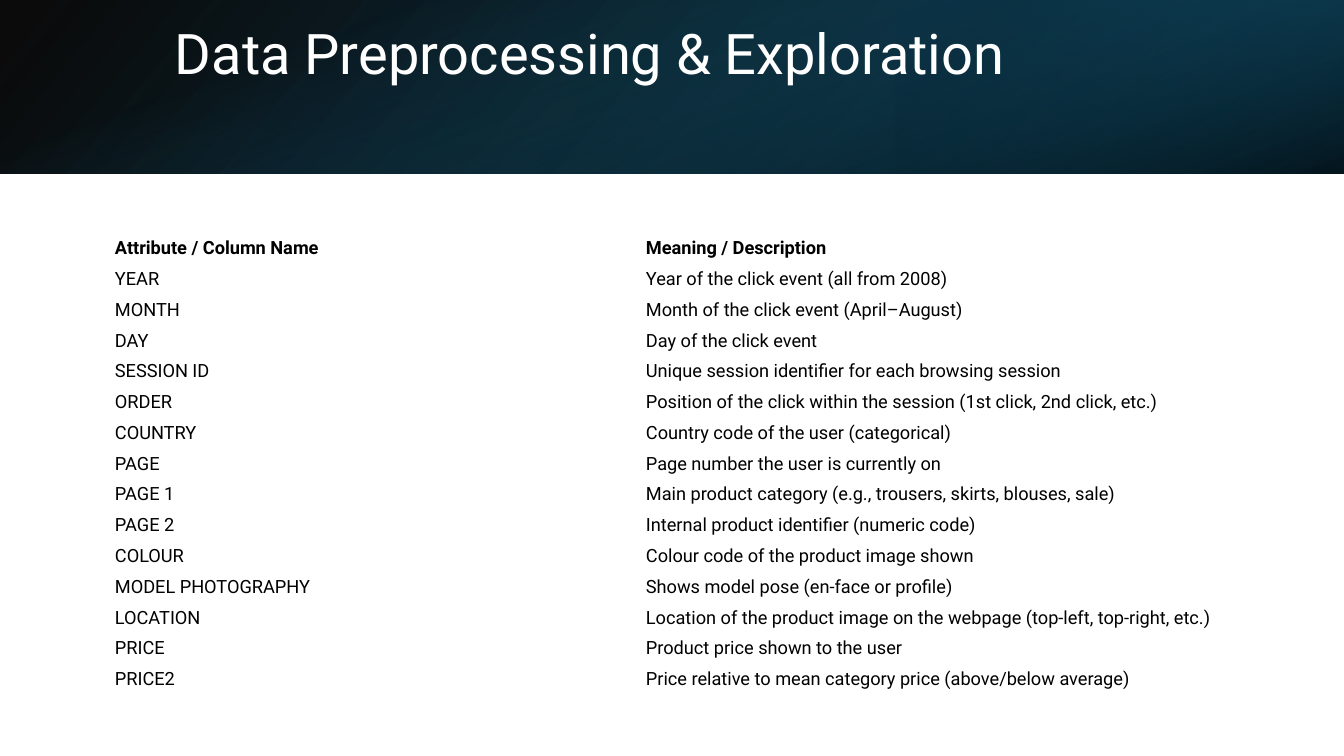
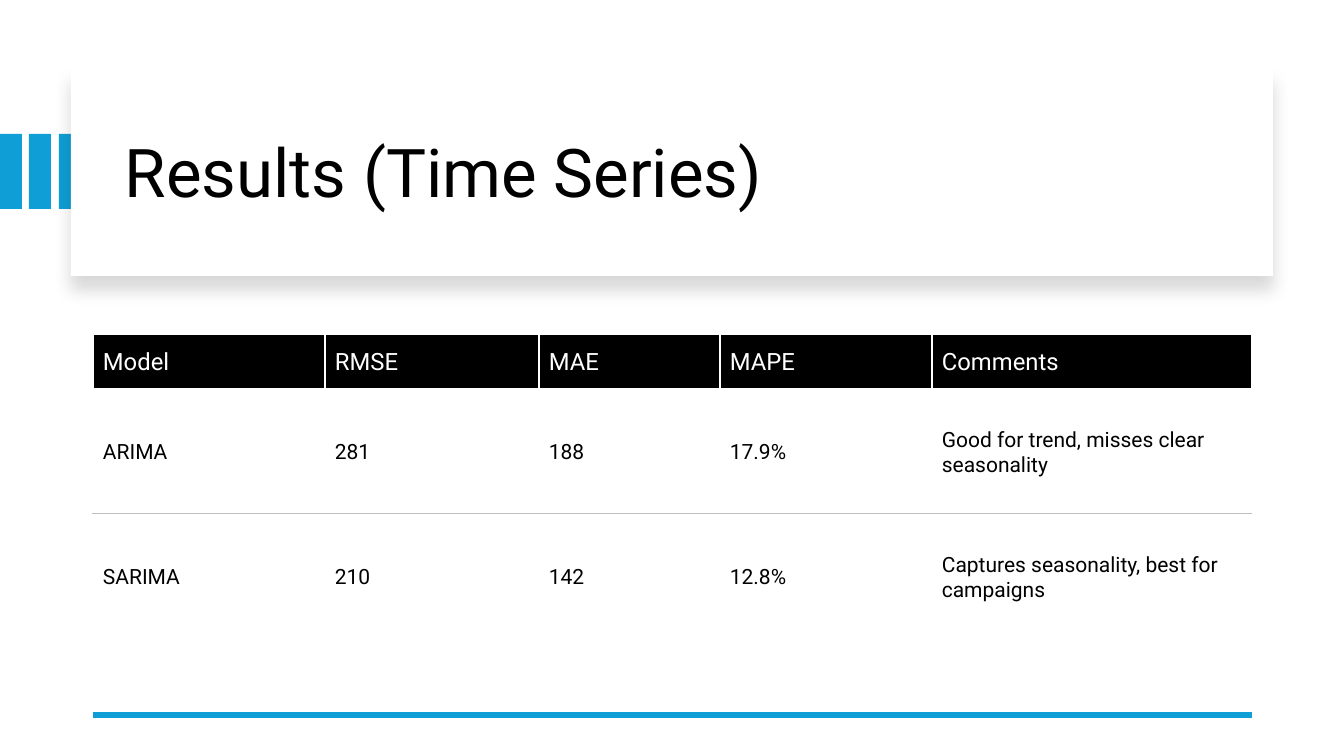
from dataclasses import dataclass

from lxml.etree import SubElement
from pptx import Presentation
from pptx.dml.color import RGBColor
from pptx.enum.shapes import MSO_CONNECTOR as Connector, MSO_SHAPE as Preset
from pptx.enum.text import MSO_ANCHOR as Anchor
from pptx.oxml.ns import qn
from pptx.util import Emu, Pt

# Shared look
FONT = "Roboto"
BLACK, WHITE, BLUE, GREY = "000000", "FFFFFF", "0F9ED5", "BFBFBF"
NAVY, TEAL, DEEP = "0B3041", "156082", "104862"
SLIDE_W, SLIDE_H = 1344, 756
EMU_PER_PX = 914400 / 100.8


@dataclass(frozen=True)
class Box:
    left: int
    top: int
    width: int
    height: int

    def emu(self) -> tuple[Emu, ...]:
        return tuple(px(n) for n in (self.left, self.top, self.width, self.height))


@dataclass(frozen=True)
class Stop:
    position: int
    color: str
    alpha: int


@dataclass(frozen=True)
class GradientLayer:
    box: Box
    stops: tuple[Stop, Stop]
    angle: int
    rotation: int = 0
    flipped: bool = False


@dataclass(frozen=True)
class CellStyle:
    size: int
    color: str = BLACK
    bold: bool = False
    fill: str | None = None
    spacing: float | None = None
    margins: tuple[int, int, int, int] = (7, 3, 7, 3)


@dataclass(frozen=True)
class Edge:
    color: str
    points: float


def px(n: int) -> Emu:
    return Emu(round(n * EMU_PER_PX))


def rgb(color: str) -> RGBColor:
    return RGBColor.from_string(color)


def add_color(parent, color: str, alpha: int = 100) -> None:
    node = SubElement(parent, qn("a:srgbClr"), val=color)
    if alpha < 100:
        SubElement(node, qn("a:alpha"), val=str(alpha * 1000))


def add_text(paragraph, text: str, size: int, color: str, bold: bool = False) -> None:
    run = paragraph.add_run()
    run.text = text
    run.font.name, run.font.size, run.font.bold = FONT, Pt(size), bold
    run.font.color.rgb = rgb(color)


def add_title(slide, box: Box, text: str, size: int, color: str) -> None:
    frame = slide.shapes.add_textbox(*box.emu()).text_frame
    frame.word_wrap = True
    frame.vertical_anchor = Anchor.MIDDLE
    frame.paragraphs[0].line_spacing = 0.9
    add_text(frame.paragraphs[0], text, size, color)


def add_rect(slide, box: Box, color: str):
    rect = slide.shapes.add_shape(Preset.RECTANGLE, *box.emu())
    rect.shadow.inherit = False
    rect.fill.solid()
    rect.fill.fore_color.rgb = rgb(color)
    rect.line.fill.background()
    return rect


def add_gradient(slide, layer: GradientLayer) -> None:
    rect = add_rect(slide, layer.box, BLACK)
    rect.rotation = layer.rotation
    props = rect._element.spPr
    if layer.flipped:
        props.find(qn("a:xfrm")).set("flipH", "1")
    solid = props.find(qn("a:solidFill"))
    gradient = SubElement(props, qn("a:gradFill"), rotWithShape="1")
    stops = SubElement(gradient, qn("a:gsLst"))
    for stop in layer.stops:
        node = SubElement(stops, qn("a:gs"), pos=str(stop.position * 1000))
        add_color(node, stop.color, stop.alpha)
    SubElement(gradient, qn("a:lin"), ang=str(layer.angle * 60000), scaled="0")
    props.replace(solid, gradient)


def add_soft_shadow(shape) -> None:
    effects = shape._element.spPr.find(qn("a:effectLst"))
    shadow = SubElement(effects, qn("a:outerShdw"), blurRad=str(Pt(11)),
                        dist=str(Pt(10)), dir="5400000", algn="t", rotWithShape="0")
    add_color(shadow, BLACK, 15)


def add_rule(slide, left: int, right: int, y: int) -> None:
    rule = slide.shapes.add_connector(Connector.STRAIGHT, px(left), px(y), px(right), px(y))
    rule.line.color.rgb = rgb(BLUE)
    rule.line.width = Pt(4.5)
    SubElement(rule._element.spPr, qn("a:effectLst"))


def add_grid(slide, box: Box, widths: tuple[int, ...], rows: int):
    table = slide.shapes.add_table(rows, len(widths), *box.emu()).table
    table.first_row = table.horz_banding = False
    for column, width in zip(table.columns, widths):
        column.width = px(width)
    return table


def fill_cell(cell, text: str, style: CellStyle) -> None:
    left, top, right, bottom = (px(n) for n in style.margins)
    cell.margin_left, cell.margin_top = left, top
    cell.margin_right, cell.margin_bottom = right, bottom
    cell.vertical_anchor = Anchor.MIDDLE
    if style.fill:
        cell.fill.solid()
        cell.fill.fore_color.rgb = rgb(style.fill)
    else:
        cell.fill.background()
    paragraph = cell.text_frame.paragraphs[0]
    if style.spacing:
        paragraph.line_spacing = Pt(style.spacing)
    add_text(paragraph, text, style.size, style.color, style.bold)


def add_borders(cell, top: Edge, bottom: Edge, side: Edge) -> None:
    props = cell._tc.get_or_add_tcPr()
    for tag, edge in (("lnL", side), ("lnR", side), ("lnT", top), ("lnB", bottom)):
        line = SubElement(props, qn(f"a:{tag}"), w=str(Pt(edge.points)))
        add_color(SubElement(line, qn("a:solidFill")), edge.color)


# Slide 1: attribute dictionary
BAND_H = 174
BAND_LAYERS = (
    GradientLayer(Box(0, 0, SLIDE_W, BAND_H),
                  (Stop(0, BLACK, 96), Stop(100, DEEP, 100)), 140, flipped=True),
    GradientLayer(Box(896, 0, 448, BAND_H),
                  (Stop(19, NAVY, 68), Stop(100, TEAL, 79)), 320, 180, True),
    GradientLayer(Box((SLIDE_W - BAND_H) // 2, (BAND_H - SLIDE_W) // 2, BAND_H, SLIDE_W),
                  (Stop(23, TEAL, 0), Stop(99, BLACK, 74)), 340, 90),
)
ATTRIBUTES = (
    ("Attribute / Column Name", "Meaning / Description"),
    ("YEAR", "Year of the click event (all from 2008)"),
    ("MONTH", "Month of the click event (April–August)"),
    ("DAY", "Day of the click event"),
    ("SESSION ID", "Unique session identifier for each browsing session"),
    ("ORDER", "Position of the click within the session (1st click, 2nd click, etc.)"),
    ("COUNTRY", "Country code of the user (categorical)"),
    ("PAGE", "Page number the user is currently on"),
    ("PAGE 1", "Main product category (e.g., trousers, skirts, blouses, sale)"),
    ("PAGE 2", "Internal product identifier (numeric code)"),
    ("COLOUR", "Colour code of the product image shown"),
    ("MODEL PHOTOGRAPHY", "Shows model pose (en-face or profile)"),
    ("LOCATION", "Location of the product image on the webpage (top-left, top-right, etc.)"),
    ("PRICE", "Product price shown to the user"),
    ("PRICE2", "Price relative to mean category price (above/below average)"),
)


def build_exploration(slide) -> None:
    for layer in BAND_LAYERS:
        add_gradient(slide, layer)
    add_title(slide, Box(165, 26, 1093, 60), "Data Preprocessing & Exploration", 40, WHITE)
    grid = add_grid(slide, Box(108, 233, 1143, 462), (531, 612), len(ATTRIBUTES))
    for r, row in enumerate(ATTRIBUTES):
        for c, text in enumerate(row):
            fill_cell(grid.cell(r, c), text, CellStyle(13, bold=r == 0))


# Slide 2: model scores
SCORES = (
    ("Model", "RMSE", "MAE", "MAPE", "Comments"),
    ("ARIMA", "281", "188", "17.9%", "Good for trend, misses clear seasonality"),
    ("SARIMA", "210", "142", "12.8%", "Captures seasonality, best for campaigns"),
)
SCORE_WIDTHS = (232, 214, 181, 212, 320)
SCORE_HEIGHTS = (55, 125, 125)
SCORE_MARGINS = (10, 12, 10, 10)
SCORE_HEAD = CellStyle(17, WHITE, fill=BLACK, spacing=20.2, margins=SCORE_MARGINS)
SCORE_BODY = CellStyle(15, spacing=18, margins=SCORE_MARGINS)
PLAIN, DIVIDER = Edge(WHITE, 1), Edge(GREY, 0.75)
SCORE_EDGES = (PLAIN, PLAIN, DIVIDER, PLAIN)  # horizontal lines, top to bottom


def build_results(slide) -> None:
    for i in range(3):
        add_rect(slide, Box(i * 59 // 2, 134, 22, 75), BLUE)
    add_soft_shadow(add_rect(slide, Box(71, 67, 1202, 209), WHITE))
    add_title(slide, Box(115, 90, 1122, 171), "Results (Time Series)", 48, BLACK)
    left, width = 93, sum(SCORE_WIDTHS)
    add_rule(slide, left, left + width, 715)
    grid = add_grid(slide, Box(left, 334, width, sum(SCORE_HEIGHTS)),
                    SCORE_WIDTHS, len(SCORES))
    for r, row in enumerate(SCORES):
        grid.rows[r].height = px(SCORE_HEIGHTS[r])
        for c, text in enumerate(row):
            cell = grid.cell(r, c)
            add_borders(cell, SCORE_EDGES[r], SCORE_EDGES[r + 1], PLAIN)
            fill_cell(cell, text, SCORE_BODY if r else SCORE_HEAD)


def main() -> None:
    deck = Presentation()
    deck.slide_width, deck.slide_height = px(SLIDE_W), px(SLIDE_H)
    blank = deck.slide_layouts[6]
    for build in (build_exploration, build_results):
        build(deck.slides.add_slide(blank))
    deck.save("out.pptx")


if __name__ == "__main__":
    main()
